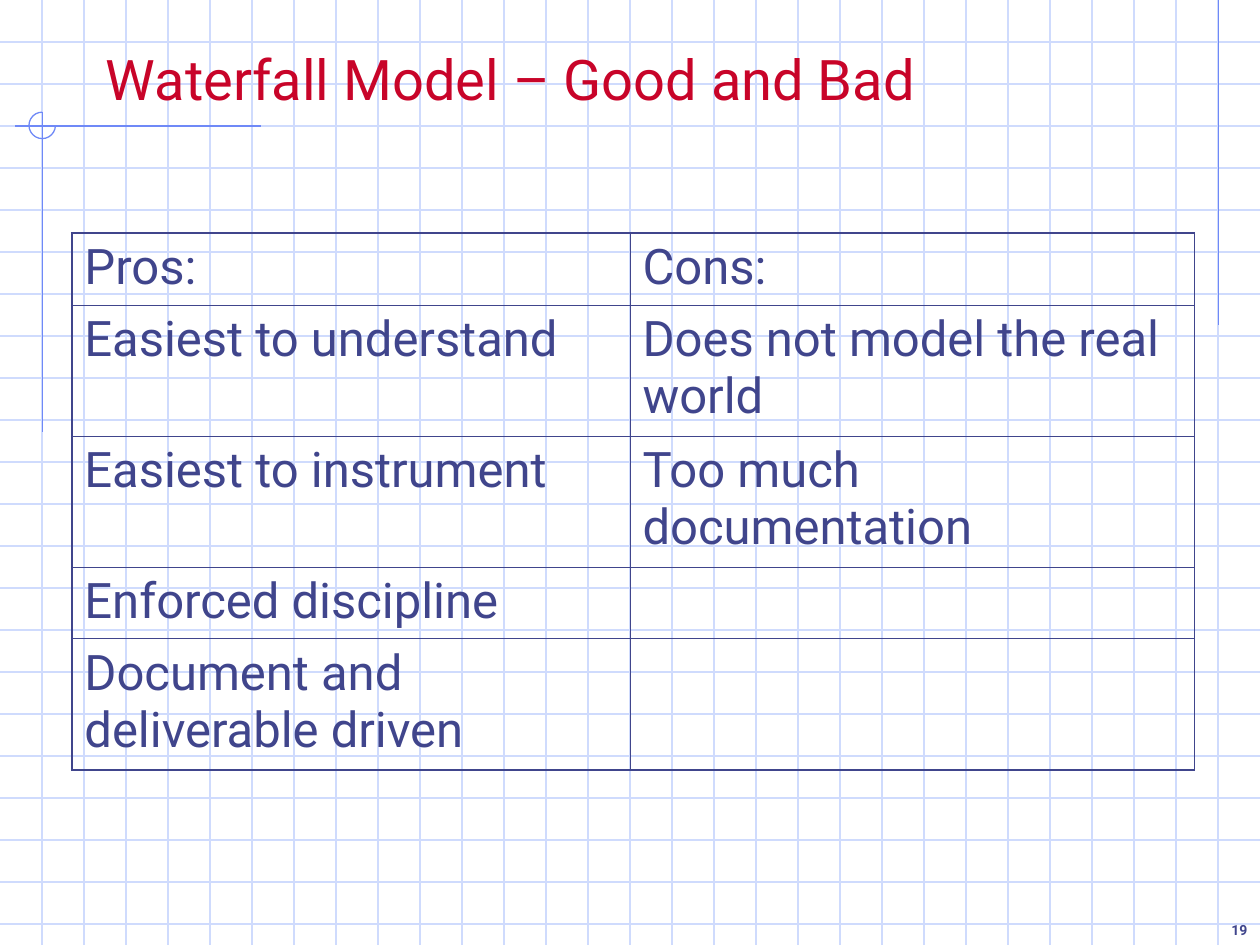
from lxml import etree
from pptx import Presentation
from pptx.dml.color import RGBColor
from pptx.enum.shapes import MSO_CONNECTOR, MSO_SHAPE
from pptx.enum.text import MSO_ANCHOR, PP_ALIGN
from pptx.oxml.ns import qn
from pptx.util import Inches, Pt

WIDTH, HEIGHT = 10, 7.5
GRID_LINES_PER_INCH = 3
FONT = "Roboto"
GRID_BLUE = RGBColor(0xCF, 0xDB, 0xFD)
ACCENT_BLUE = RGBColor(0x6F, 0x89, 0xF7)
TITLE_RED = RGBColor(0xC8, 0x04, 0x29)
INK = RGBColor(0x40, 0x45, 0x8C)

COLUMN_WIDTHS = [4.43, 4.48]
ROW_HEIGHTS = [0.57, 1.04, 1.04, 0.57, 1.04]
ROWS = [
    ("Pros:", "Cons:"),
    ("Easiest to understand", "Does not model the real world"),
    ("Easiest to instrument", "Too much documentation"),
    ("Enforced discipline", ""),
    ("Document and deliverable driven", ""),
]
OUTER_LINE, INNER_LINE = 1.08, 0.45


def add_run(paragraph, text, size, color, bold=False):
    run = paragraph.add_run()
    run.text = text
    run.font.name = FONT
    run.font.size = Pt(size)
    run.font.bold = bold
    run.font.color.rgb = color


def add_line(slide, x1, y1, x2, y2, color):
    line = slide.shapes.add_connector(
        MSO_CONNECTOR.STRAIGHT, Inches(x1), Inches(y1), Inches(x2), Inches(y2))
    line.line.color.rgb = color
    line.line.width = Pt(0.75)
    etree.SubElement(line.element.spPr, qn("a:effectLst"))


def add_grid(slide, left, top, width, height):
    for i in range(1, int(height * GRID_LINES_PER_INCH) + 1):
        y = top + i / GRID_LINES_PER_INCH
        add_line(slide, left, y, left + width, y, GRID_BLUE)
    for i in range(1, int(width * GRID_LINES_PER_INCH)):
        x = left + i / GRID_LINES_PER_INCH
        add_line(slide, x, top, x, top + height, GRID_BLUE)


def add_corner_mark(slide, left, top, width, height):
    """Crossing lines with a three-quarter circle around the crossing."""
    circle_left, circle_size = left + 0.11, 0.21
    add_line(slide, left + width, top + 0.11, left, top + 0.11, ACCENT_BLUE)
    add_line(slide, left + 0.22, top, left + 0.22, top + height, ACCENT_BLUE)
    arc = slide.shapes.add_shape(
        MSO_SHAPE.ARC, Inches(circle_left), Inches(top),
        Inches(circle_size), Inches(circle_size))
    arc.adjustments[0] = 0
    arc.adjustments[1] = 162  # 270 degrees
    arc.fill.background()
    arc.line.color.rgb = ACCENT_BLUE
    arc.line.width = Pt(0.75)
    arc.shadow.inherit = False


def place_title(slide, left, top, width, height):
    title = slide.shapes.title
    title.element.getparent().append(title.element)  # in front of the grid
    title.left, title.top = Inches(left), Inches(top)
    title.width, title.height = Inches(width), Inches(height)
    frame = title.text_frame
    frame.word_wrap = True
    frame.vertical_anchor = MSO_ANCHOR.BOTTOM
    paragraph = frame.paragraphs[0]
    paragraph.alignment = PP_ALIGN.LEFT
    add_run(paragraph, "Waterfall Model – Good and Bad", 32, TITLE_RED)


def set_borders(cell, widths):
    properties = cell._tc.get_or_add_tcPr()
    for position, (side, width) in enumerate(widths.items()):
        border = etree.Element(qn(f"a:ln{side}"), w=str(Pt(width)))
        fill = etree.SubElement(border, qn("a:solidFill"))
        etree.SubElement(fill, qn("a:srgbClr"), val=str(INK))
        properties.insert(position, border)


def add_comparison_table(slide, left, top, width, height):
    table = slide.shapes.add_table(
        len(ROWS), len(COLUMN_WIDTHS), Inches(left), Inches(top),
        Inches(width), Inches(height)).table
    table.first_row = table.horz_banding = False
    for column, column_width in zip(table.columns, COLUMN_WIDTHS):
        column.width = Inches(column_width)
    last_row, last_column = len(ROWS) - 1, len(COLUMN_WIDTHS) - 1
    for r, texts in enumerate(ROWS):
        table.rows[r].height = Inches(ROW_HEIGHTS[r])
        for c, text in enumerate(texts):
            cell = table.cell(r, c)
            cell.fill.background()
            set_borders(cell, {
                "L": OUTER_LINE if c == 0 else INNER_LINE,
                "R": OUTER_LINE if c == last_column else INNER_LINE,
                "T": OUTER_LINE if r == 0 else INNER_LINE,
                "B": OUTER_LINE if r == last_row else INNER_LINE,
            })
            if text:
                add_run(cell.text_frame.paragraphs[0], text, 28, INK)


def add_page_number(slide, left, top, width, height):
    box = slide.shapes.add_textbox(
        Inches(left), Inches(top), Inches(width), Inches(height))
    frame = box.text_frame
    frame.word_wrap = True
    frame.vertical_anchor = MSO_ANCHOR.BOTTOM
    paragraph = frame.paragraphs[0]
    paragraph.alignment = PP_ALIGN.RIGHT
    add_run(paragraph, "19", 8, INK, bold=True)


def main():
    presentation = Presentation()
    presentation.slide_width = Inches(WIDTH)
    presentation.slide_height = Inches(HEIGHT)
    slide = presentation.slides.add_slide(presentation.slide_layouts[5])
    add_grid(slide, 0, 0, WIDTH, HEIGHT)
    add_line(slide, 9.67, 0, 9.67, 2.58, ACCENT_BLUE)
    add_corner_mark(slide, 0.12, 0.89, 1.95, 2.54)
    place_title(slide, 0.74, 0.33, 8.5, 0.61)
    add_comparison_table(slide, 0.57, 1.85, sum(COLUMN_WIDTHS), sum(ROW_HEIGHTS))
    add_page_number(slide, 9.53, 7.2, 0.47, 0.3)
    presentation.save("out.pptx")


if __name__ == "__main__":
    main()
